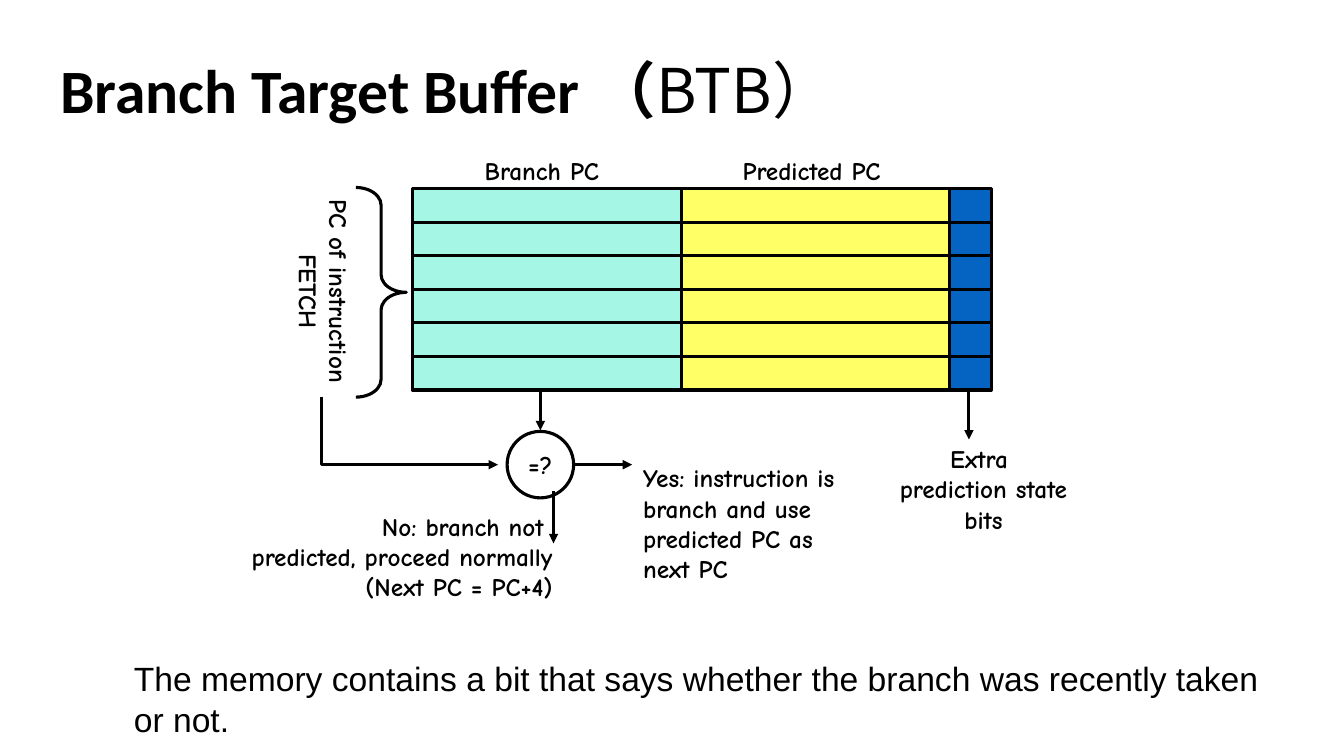
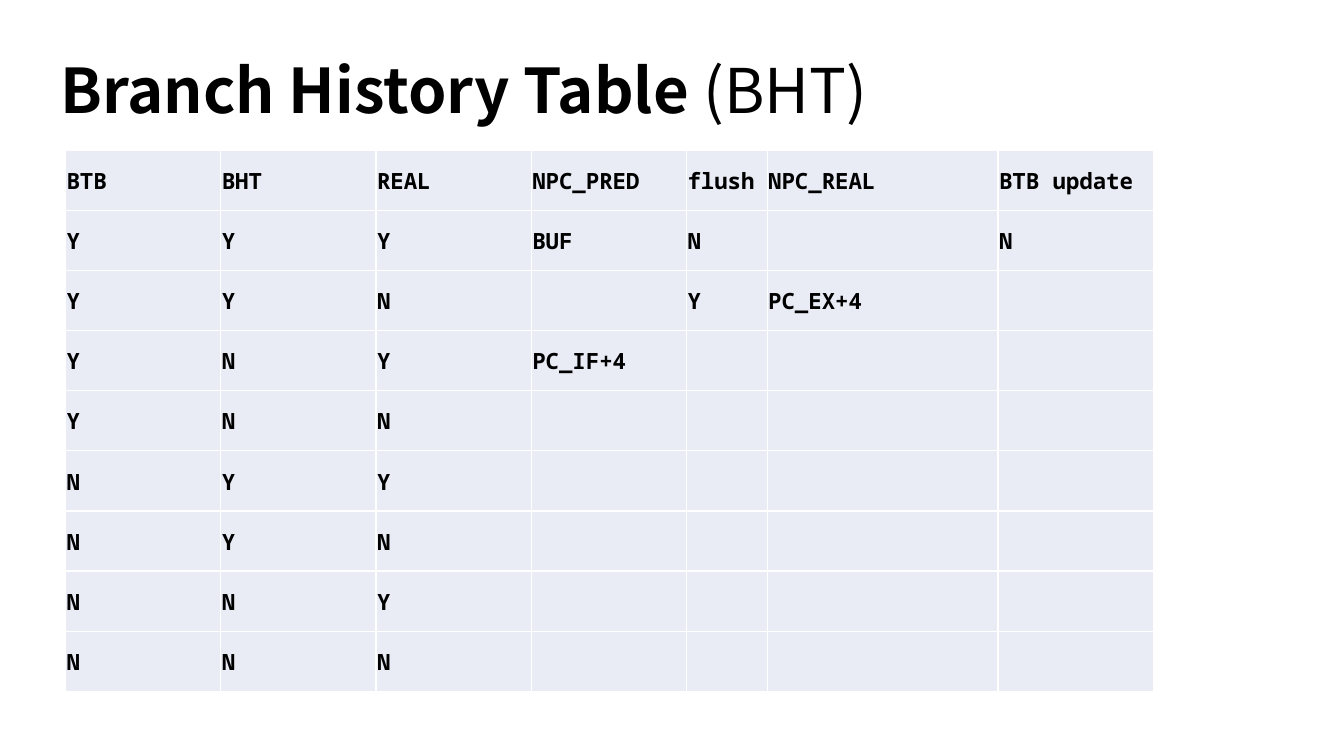
from dataclasses import dataclass

from lxml import etree
from pptx import Presentation
from pptx.dml.color import RGBColor
from pptx.enum import shapes as kinds, text as styles
from pptx.oxml import ns
from pptx.util import Inches, Pt

# Shared look
BLACK = RGBColor(0x00, 0x00, 0x00)
WHITE = RGBColor(0xFF, 0xFF, 0xFF)
MINT = RGBColor(0xA6, 0xF6, 0xE5)
YELLOW = RGBColor(0xFF, 0xFF, 0x66)
BLUE = RGBColor(0x05, 0x63, 0xC1)
PALE = RGBColor(0xE9, 0xEB, 0xF5)
CJK_FONT = "Noto Sans CJK SC"
LABEL_FONT = "Comic Neue"
STROKE = Pt(2.24)
LEFT, CENTER, RIGHT = (styles.PP_ALIGN.LEFT, styles.PP_ALIGN.CENTER,
                       styles.PP_ALIGN.RIGHT)
MIDDLE = styles.MSO_ANCHOR.MIDDLE


@dataclass(frozen=True)
class Box:
    left: float
    top: float
    width: float
    height: float

    def emu(self) -> tuple:
        return tuple(map(Inches, (self.left, self.top, self.width, self.height)))


@dataclass(frozen=True)
class TitlePart:
    text: str
    font: str
    bold: bool


@dataclass(frozen=True)
class Label:
    text: str
    box: Box
    align: int = CENTER
    wrap: bool = False
    rotation: int = 0


@dataclass(frozen=True)
class Field:
    left: float
    width: float
    fill: RGBColor


@dataclass(frozen=True)
class Arrow:
    start: tuple
    end: tuple


# Drawing functions
def format_run(run, font: str, size: float, bold: bool) -> None:
    run.font.name = font
    run.font.size = Pt(size)
    run.font.bold = bold
    run.font.color.rgb = BLACK


def write(frame, text: str, font: str, size: float, bold: bool,
          align: int = LEFT) -> None:
    frame.text = text
    for paragraph in frame.paragraphs:
        paragraph.alignment = align
        for run in paragraph.runs:
            format_run(run, font, size, bold)


def add_title(slide, parts: list) -> None:
    frame = slide.shapes.add_textbox(*Box(0.5, 0.2, 11.5, 1.45).emu()).text_frame
    frame.word_wrap = True
    frame.vertical_anchor = MIDDLE
    paragraph = frame.paragraphs[0]
    paragraph.line_spacing = 0.9
    for part in parts:
        run = paragraph.add_run()
        run.text = part.text
        format_run(run, part.font, 44, part.bold)
        east_asian = etree.SubElement(run.font._element, ns.qn("a:ea"))
        east_asian.set("typeface", CJK_FONT)


def add_label(slide, label: Label) -> None:
    holder = slide.shapes.add_textbox(*label.box.emu())
    holder.rotation = label.rotation
    frame = holder.text_frame
    frame.word_wrap = label.wrap
    frame.vertical_anchor = MIDDLE
    write(frame, label.text, LABEL_FONT, 18, True, label.align)


def outline(shape, fill: RGBColor | None = None) -> None:
    shape.shadow.inherit = False
    if fill is None:
        shape.fill.background()
    else:
        shape.fill.solid()
        shape.fill.fore_color.rgb = fill
    shape.line.color.rgb = BLACK
    shape.line.width = STROKE


def add_arrowhead(shape) -> None:
    line = shape.element.spPr.find(ns.qn("a:ln"))
    etree.SubElement(line, ns.qn("a:tailEnd")).set("type", "triangle")


def add_arrow(slide, arrow: Arrow) -> None:
    connector = slide.shapes.add_connector(
        kinds.MSO_CONNECTOR.STRAIGHT, *map(Inches, arrow.start + arrow.end))
    connector.line.color.rgb = BLACK
    connector.line.width = STROKE
    add_arrowhead(connector)
    etree.SubElement(connector.element.spPr, ns.qn("a:effectLst"))


def style_cell(cell, text: str) -> None:
    cell.margin_left = cell.margin_right = cell.margin_top = Inches(0.01)
    cell.margin_bottom = 0
    cell.vertical_anchor = MIDDLE
    write(cell.text_frame, text, "Noto Sans Mono", 16, True)
    if not text:
        cell.text_frame.paragraphs[0].font.size = Pt(16)
    properties = cell._tc.get_or_add_tcPr()
    for side in ("lnL", "lnR", "lnT", "lnB"):
        border = etree.SubElement(properties, ns.qn(f"a:{side}"), w=str(Pt(1)))
        paint = etree.SubElement(border, ns.qn("a:solidFill"))
        etree.SubElement(paint, ns.qn("a:srgbClr"), val=str(WHITE))
    cell.fill.solid()
    cell.fill.fore_color.rgb = PALE
    # The fill has to follow the borders
    properties.append(properties.find(ns.qn("a:solidFill")))


# Branch target buffer
BUFFER_TOP, ENTRY_HEIGHT, ENTRIES = 1.87, 1 / 3, 6
FIELDS = [Field(4.09, 2.67, MINT), Field(6.76, 2.66, YELLOW),
          Field(9.42, 0.41, BLUE)]
BUFFER_LABELS = [
    Label("Branch PC", Box(4.67, 1.49, 1.41, 0.4)),
    Label("Predicted PC", Box(7.18, 1.49, 1.74, 0.4)),
    Label("PC of instruction\nFETCH", Box(2.1, 2.54, 2.23, 0.7), rotation=90),
    Label("Extra \nprediction state\nbits", Box(8.69, 4.35, 2.13, 1)),
    Label("Yes: instruction is branch and use predicted PC as next PC",
          Box(6.28, 4.54, 2.41, 1.3), LEFT, wrap=True),
    Label("No: branch not \npredicted, proceed normally\n (Next PC = PC+4)",
          Box(1.98, 5.02, 3.6, 1), RIGHT),
]
BUFFER_ARROWS = [
    Arrow((5.36, 3.86), (5.36, 4.27)),
    Arrow((9.61, 3.86), (9.61, 4.36)),
    Arrow((5.69, 4.61), (6.27, 4.61)),
    Arrow((5.49, 4.87), (5.49, 5.39)),
]


def build_target_buffer(slide) -> None:
    add_title(slide, [TitlePart("Branch Target Buffer （", "Calibri", True),
                      TitlePart("BTB）", CJK_FONT, False)])

    # Buffer entries
    for entry in range(ENTRIES):
        top = BUFFER_TOP + entry * ENTRY_HEIGHT
        for field in FIELDS:
            box = Box(field.left, top, field.width, ENTRY_HEIGHT)
            outline(slide.shapes.add_shape(kinds.MSO_SHAPE.RECTANGLE,
                                           *box.emu()), field.fill)

    # Comparison with the fetched PC
    comparator = slide.shapes.add_shape(kinds.MSO_SHAPE.OVAL,
                                        *Box(5.03, 4.28, 0.66, 0.66).emu())
    outline(comparator)
    comparator.text_frame.word_wrap = False
    comparator.text_frame.vertical_anchor = MIDDLE
    write(comparator.text_frame, "=?", LABEL_FONT, 18, True, CENTER)

    brace = slide.shapes.add_shape(kinds.MSO_SHAPE.RIGHT_BRACE,
                                   *Box(3.53, 1.86, 0.5, 2.08).emu())
    brace.adjustments[0] = 0.35
    outline(brace)

    elbow = slide.shapes.build_freeform(Inches(3.19), Inches(3.94))
    elbow.add_line_segments([(Inches(3.19), Inches(4.61)),
                             (Inches(4.94), Inches(4.61))], close=False)
    fetched_pc = elbow.convert_to_shape()
    outline(fetched_pc)
    add_arrowhead(fetched_pc)

    for arrow in BUFFER_ARROWS:
        add_arrow(slide, arrow)
    for label in BUFFER_LABELS:
        add_label(slide, label)

    # Closing remark
    remark = slide.shapes.add_textbox(*Box(1.23, 6.48, 11.5, 0.5).emu()).text_frame
    remark.word_wrap = True
    write(remark, "The memory contains a bit that says whether the branch "
          "was recently taken or not. ", "Arial", 24, False)


# Branch history table
HISTORY_WIDTHS = [1.54, 1.54, 1.54, 1.54, 0.8, 2.29, 1.54]
HISTORY_ROWS = [
    ["BTB", "BHT", "REAL", "NPC_PRED", "flush", "NPC_REAL", "BTB update"],
    ["Y", "Y", "Y", "BUF", "N", "", "N"],
    ["Y", "Y", "N", "", "Y", "PC_EX+4", ""],
    ["Y", "N", "Y", "PC_IF+4", "", "", ""],
    ["Y", "N", "N", "", "", "", ""],
    ["N", "Y", "Y", "", "", "", ""],
    ["N", "Y", "N", "", "", "", ""],
    ["N", "N", "Y", "", "", "", ""],
    ["N", "N", "N", "", "", "", ""],
]


def build_history_table(slide) -> None:
    add_title(slide, [TitlePart("Branch History Table ", CJK_FONT, True),
                      TitlePart("(BHT)", CJK_FONT, False)])
    box = Box(0.65, 1.49, sum(HISTORY_WIDTHS), 5.37)
    history = slide.shapes.add_table(len(HISTORY_ROWS), len(HISTORY_WIDTHS),
                                     *box.emu()).table
    history.first_row = history.horz_banding = False
    for column, width in zip(history.columns, HISTORY_WIDTHS):
        column.width = Inches(width)
    for row, texts in zip(history.rows, HISTORY_ROWS):
        for cell, text in zip(row.cells, texts):
            style_cell(cell, text)


# Presentation
deck = Presentation()
deck.slide_width, deck.slide_height = Inches(13.33), Inches(7.5)
for build in (build_target_buffer, build_history_table):
    build(deck.slides.add_slide(deck.slide_layouts[6]))
deck.save("out.pptx")
